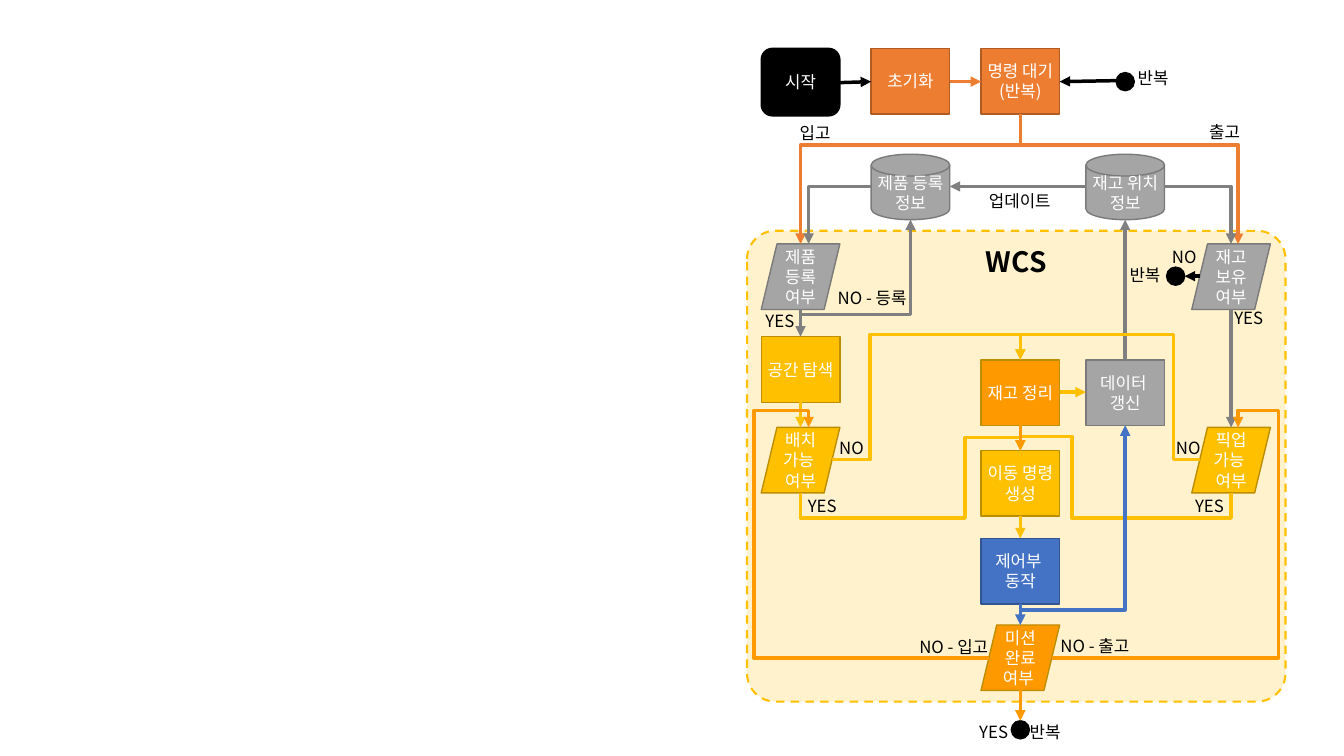
"""Build the flowchart slide of a warehouse control system (WCS)."""
from lxml.etree import SubElement
from pptx import Presentation
from pptx.dml.color import RGBColor
from pptx.enum.dml import MSO_LINE
from pptx.enum.shapes import MSO_CONNECTOR as CONNECTOR, MSO_SHAPE as SHAPE
from pptx.enum.text import MSO_ANCHOR as ANCHOR, MSO_AUTO_SIZE as AUTO_SIZE, PP_ALIGN as ALIGN
from pptx.oxml.ns import qn
from pptx.util import Pt

PX = 9144
FONT = "Noto Sans CJK KR"
BLACK, WHITE, CREAM = "000000", "FFFFFF", "FFF2CC"
CORAL, ORANGE, YELLOW = "ED7D31", "FF9900", "FFC000"
SILVER, GRAY, BLUE = "A5A5A5", "808080", "4472C4"
OUTLINES = {BLACK: BLACK, CORAL: "AF5C24", ORANGE: "BD8E00", YELLOW: "BD8E00",
            SILVER: "7A7A7A", BLUE: "325491"}
START, STEP = SHAPE.FLOWCHART_ALTERNATE_PROCESS, SHAPE.FLOWCHART_PROCESS
CHECK, STORE = SHAPE.FLOWCHART_DATA, SHAPE.FLOWCHART_MAGNETIC_DISK
COLUMNS = {"A": 755, "B": 864, "C": 973, "D": 1077, "E": 1182}
NODE_W, NODE_H, DOT = 78, 65, 18

ZONE = ("WCS", 741, 229, 534, 467)
NODES = [
    ("시작", START, BLACK, "A", 48),
    ("초기화", STEP, CORAL, "B", 48),
    ("명령 대기\n(반복)", STEP, CORAL, "C", 48),
    ("제품 등록 정보", STORE, SILVER, "B", 153),
    ("재고 위치 정보", STORE, SILVER, "D", 153),
    ("제품 등록\n 여부 ", CHECK, SILVER, "A", 242),
    ("재고 보유 여부", CHECK, SILVER, "E", 242),
    ("공간 탐색", STEP, YELLOW, "A", 334),
    ("재고 정리", STEP, ORANGE, "C", 357),
    ("데이터 \n갱신", STEP, SILVER, "D", 357),
    ("배치 가능 \n여부", CHECK, YELLOW, "A", 424),
    ("픽업 가능 \n여부", CHECK, YELLOW, "E", 424),
    ("이동 명령\n생성", STEP, YELLOW, "C", 447),
    ("제어부 \n동작", STEP, BLUE, "C", 534),
    ("미션 완료 여부 ", CHECK, ORANGE, "C", 620),
]
REPEAT_DOTS = [(1107, 72), (1157, 265), (1003, 715)]
ARROWS = [
    (BLACK, (833, 82), (864, 81)),
    (BLACK, (1107, 80), (1051, 81)),
    (BLACK, (1190, 274), (1175, 274)),
    (CORAL, (942, 81), (973, 81)),
    (CORAL, (1012, 113), (1012, 144), (794, 144), (794, 242)),
    (CORAL, (1012, 113), (1012, 144), (1228, 144), (1228, 242)),
    (GRAY, (794, 307), (794, 312), (903, 312), (903, 218)),
    (GRAY, (794, 307), (794, 334)),
    (GRAY, (1221, 307), (1221, 424)),
    (GRAY, (1116, 357), (1116, 218)),
    (GRAY, (1077, 185), (942, 185)),
    (GRAY, (1155, 185), (1221, 185), (1221, 242)),
    (GRAY, (864, 185), (802, 185), (802, 242)),
    (YELLOW, (1012, 512), (1012, 534)),
    (YELLOW, (1221, 489), (1221, 514), (1063, 514), (1063, 433), (1012, 433), (1012, 447)),
    (YELLOW, (794, 489), (794, 514), (957, 514), (957, 434), (1012, 434), (1012, 447)),
    (YELLOW, (1190, 456), (1164, 456), (1164, 332), (1012, 332), (1012, 357)),
    (YELLOW, (825, 456), (863, 456), (863, 332), (1012, 332), (1012, 357)),
    (YELLOW, (1051, 389), (1077, 389)),
    (YELLOW, (794, 399), (794, 424)),
    (BLUE, (1012, 599), (1012, 605), (1116, 605), (1116, 422)),
    (BLUE, (1012, 599), (1012, 620)),
    (ORANGE, (1012, 422), (1012, 447)),
    (ORANGE, (1043, 653), (1268, 653), (1268, 407), (1228, 407), (1228, 424)),
    (ORANGE, (981, 653), (748, 653), (748, 407), (802, 407), (802, 424)),
    (ORANGE, (1012, 685), (1012, 715)),
]
LABELS = [
    ("반복 ", 1128, 67, 35), ("입고", 791, 122, 35), ("출고", 1197, 121, 35),
    ("업데이트", 980, 189, 63), ("NO", 1157, 245, 35), ("반복 ", 1120, 263, 35),
    ("NO - 등록", 827, 285, 76), ("YES", 756, 308, 35), ("YES", 1221, 305, 35),
    ("NO", 827, 434, 35), ("NO", 1161, 434, 35), ("YES", 798, 492, 35),
    ("YES", 1182, 492, 35), ("NO - 입고", 906, 632, 80), ("NO - 출고", 1046, 631, 80),
    ("YES", 968, 716, 35), ("반복 ", 1021, 716, 35),
]


def rgb(value):
    """Turn a hex string into a colour."""
    return RGBColor.from_string(value)


def write(frame, text, color, size=12, bold=False):
    """Fill a text frame with centred paragraphs."""
    frame.text = text
    frame.word_wrap = True
    for paragraph in frame.paragraphs:
        paragraph.alignment = ALIGN.CENTER
        font = paragraph.font
        font.size, font.bold = Pt(size), bold
        font.color.rgb = rgb(color)
        font.name = FONT
        SubElement(font._element, qn("a:ea"), typeface=FONT)


def clear_margins(frame):
    """Remove all four insets of a text frame."""
    frame.margin_left = frame.margin_right = frame.margin_top = frame.margin_bottom = 0


def add_box(shapes, kind, box, fill, outline, weight=1):
    """Add a filled preset shape without a shadow."""
    shape = shapes.add_shape(kind, *(n * PX for n in box))
    shape.shadow.inherit = False
    shape.fill.solid()
    shape.fill.fore_color.rgb = rgb(fill)
    shape.line.color.rgb = rgb(outline)
    shape.line.width = Pt(weight)
    return shape


def add_arrow(shapes, color, *stops):
    """Add a straight or right-angled arrow through the given stops."""
    (x0, y0), (x1, y1) = stops[0], stops[-1]
    bends = len(stops) - 2
    turned = bends > 0 and stops[1][0] == x0
    span_x, span_y = (y1 - y0, x0 - x1) if turned else (x1 - x0, y1 - y0)
    mid_x, mid_y = (x0 + x1) / 2, (y0 + y1) / 2
    ends = (mid_x - span_x / 2, mid_y - span_y / 2, mid_x + span_x / 2, mid_y + span_y / 2)
    kind = CONNECTOR.ELBOW if bends else CONNECTOR.STRAIGHT
    arrow = shapes.add_connector(kind, *(int(n * PX) for n in ends))
    arrow.line.color.rgb = rgb(color)
    arrow.line.width = Pt(2.5)
    properties = arrow._element.spPr
    if turned:
        properties.find(qn("a:xfrm")).set("rot", "5400000")
    if bends:
        geometry = properties.find(qn("a:prstGeom"))
        geometry.set("prst", f"bentConnector{bends + 1}")
        guides = geometry.find(qn("a:avLst"))
        if guides is None:
            guides = SubElement(geometry, qn("a:avLst"))
        for i in range(1, bends):
            axis = (i + 1 + turned) % 2
            share = (stops[i][axis] - stops[0][axis]) / (stops[-1][axis] - stops[0][axis])
            name = "adj" if bends == 1 else f"adj{i}"
            SubElement(guides, qn("a:gd"), name=name, fmla=f"val {round(share * 100000)}")
    SubElement(properties.find(qn("a:ln")), qn("a:tailEnd"), type="triangle")
    SubElement(properties, qn("a:effectLst"))


def main():
    """Draw the zone, nodes, arrows and labels, then save."""
    deck = Presentation()
    deck.slide_width, deck.slide_height = 1333 * PX, 750 * PX
    shapes = deck.slides.add_slide(deck.slide_layouts[6]).shapes

    title, *zone_box = ZONE
    zone = add_box(shapes, SHAPE.ROUNDED_RECTANGLE, zone_box, CREAM, YELLOW, 1.5)
    zone.adjustments[0] = 0.06
    zone.line.dash_style = MSO_LINE.DASH
    zone.text_frame.vertical_anchor = ANCHOR.TOP
    write(zone.text_frame, title, BLACK, 20, True)

    for text, kind, fill, column, top in NODES:
        height = NODE_H + 2 * (kind == START)
        node = add_box(shapes, kind, (COLUMNS[column], top, NODE_W, height), fill, OUTLINES[fill])
        clear_margins(node.text_frame)
        node.text_frame.vertical_anchor = ANCHOR.MIDDLE
        write(node.text_frame, text, WHITE)
    for left, top in REPEAT_DOTS:
        add_box(shapes, SHAPE.FLOWCHART_CONNECTOR, (left, top, DOT, DOT), BLACK, BLACK)
    for arrow in ARROWS:
        add_arrow(shapes, *arrow)
    for text, left, top, width in LABELS:
        label = shapes.add_textbox(left * PX, top * PX, width * PX, 20 * PX).text_frame
        clear_margins(label)
        write(label, text, BLACK)
        label.auto_size = AUTO_SIZE.SHAPE_TO_FIT_TEXT

    deck.save("out.pptx")


if __name__ == "__main__":
    main()
